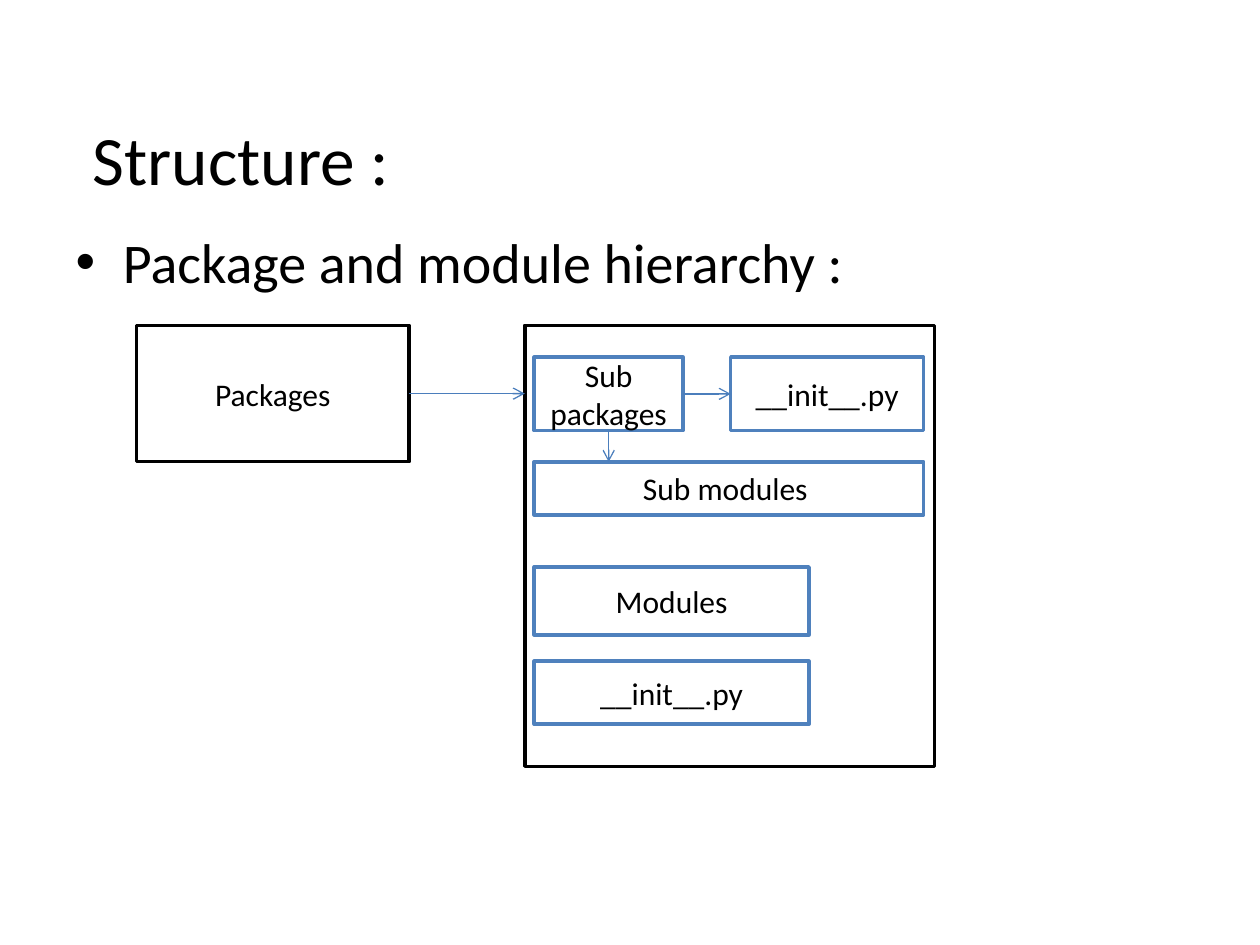
from dataclasses import dataclass

from lxml.etree import SubElement
from pptx import Presentation
from pptx.dml.color import RGBColor
from pptx.enum.shapes import MSO_CONNECTOR as Connector, MSO_SHAPE as Shape
from pptx.enum.text import MSO_ANCHOR as Anchor, PP_ALIGN as Align
from pptx.oxml.ns import qn
from pptx.util import Cm, Pt


@dataclass(frozen=True)
class Theme:
    font: str = "Calibri"
    text: RGBColor = RGBColor(0x00, 0x00, 0x00)
    fill: RGBColor = RGBColor(0xFF, 0xFF, 0xFF)
    outer: RGBColor = RGBColor(0x00, 0x00, 0x00)
    inner: RGBColor = RGBColor(0x4F, 0x81, 0xBD)
    arrow: RGBColor = RGBColor(0x4B, 0x7E, 0xBC)
    title_size: float = 39.6
    body_size: float = 32
    box_size: float = 18
    box_line: float = 2
    arrow_line: float = 0.75


THEME = Theme()

TITLE = ("Structure :", (-0.64, 2.33, 11, 1.7))
BODY = ("Package and module hierarchy :", (1.27, 4.45, 22.86, 12.57))

INNER_LEFT = 10.77
# name: (text, line colour, (left, top, width, height) in cm)
BOXES = {
    "packages": ("Packages", THEME.outer, (2.75, 6.56, 5.5, 2.75)),
    "contents": ("", THEME.outer, (10.58, 6.56, 8.26, 8.89)),
    "sub packages": ("Sub packages", THEME.inner, (INNER_LEFT, 7.2, 3, 1.48)),
    "sub init": ("__init__.py", THEME.inner, (14.73, 7.2, 3.89, 1.48)),
    "sub modules": ("Sub modules ", THEME.inner, (INNER_LEFT, 9.31, 7.85, 1.07)),
    "modules": ("Modules", THEME.inner, (INNER_LEFT, 11.43, 5.54, 1.37)),
    "init": ("__init__.py", THEME.inner, (INNER_LEFT, 13.33, 5.54, 1.27)),
}
ARROWS = [
    ("packages", "contents", "right"),
    ("sub packages", "sub init", "right"),
    ("sub packages", "sub modules", "down"),
]


def place(shape, area):
    shape.left, shape.top, shape.width, shape.height = map(Cm, area)


def write(frame, text, size, align=None, anchor=None):
    frame.word_wrap = True
    frame.vertical_anchor = anchor
    paragraph = frame.paragraphs[0]
    paragraph.alignment = align
    run = paragraph.add_run()
    run.text = text
    run.font.name = THEME.font
    run.font.size = Pt(size)
    run.font.color.rgb = THEME.text


def add_box(slide, text, color, area):
    box = slide.shapes.add_shape(Shape.RECTANGLE, *map(Cm, area))
    box.shadow.inherit = False
    box.fill.solid()
    box.fill.fore_color.rgb = THEME.fill
    box.line.color.rgb = color
    box.line.width = Pt(THEME.box_line)
    if text:
        write(box.text_frame, text, THEME.box_size, Align.CENTER, Anchor.MIDDLE)
    return box


def add_arrow(slide, source, target, direction):
    """Draw a straight arrow from the middle of a source side to the target edge."""
    if direction == "right":
        y = source.top + source.height // 2
        ends = (source.left + source.width, y, target.left, y)
    else:
        x = source.left + source.width // 2
        ends = (x, source.top + source.height, x, target.top)
    arrow = slide.shapes.add_connector(Connector.STRAIGHT, *ends)
    arrow.line.color.rgb = THEME.arrow
    arrow.line.width = Pt(THEME.arrow_line)
    SubElement(arrow.line._get_or_add_ln(), qn("a:tailEnd"), type="arrow")
    SubElement(arrow._element.spPr, qn("a:effectLst"))


def main():
    presentation = Presentation()
    presentation.slide_width, presentation.slide_height = Cm(25.4), Cm(19.05)
    slide = presentation.slides.add_slide(presentation.slide_layouts[1])

    title, body = slide.shapes.title, slide.placeholders[1]
    place(title, TITLE[1])
    write(title.text_frame, TITLE[0], THEME.title_size, Align.CENTER, Anchor.MIDDLE)
    place(body, BODY[1])
    write(body.text_frame, BODY[0], THEME.body_size)

    boxes = {name: add_box(slide, *box) for name, box in BOXES.items()}
    for source, target, direction in ARROWS:
        add_arrow(slide, boxes[source], boxes[target], direction)

    presentation.save("out.pptx")


if __name__ == "__main__":
    main()
